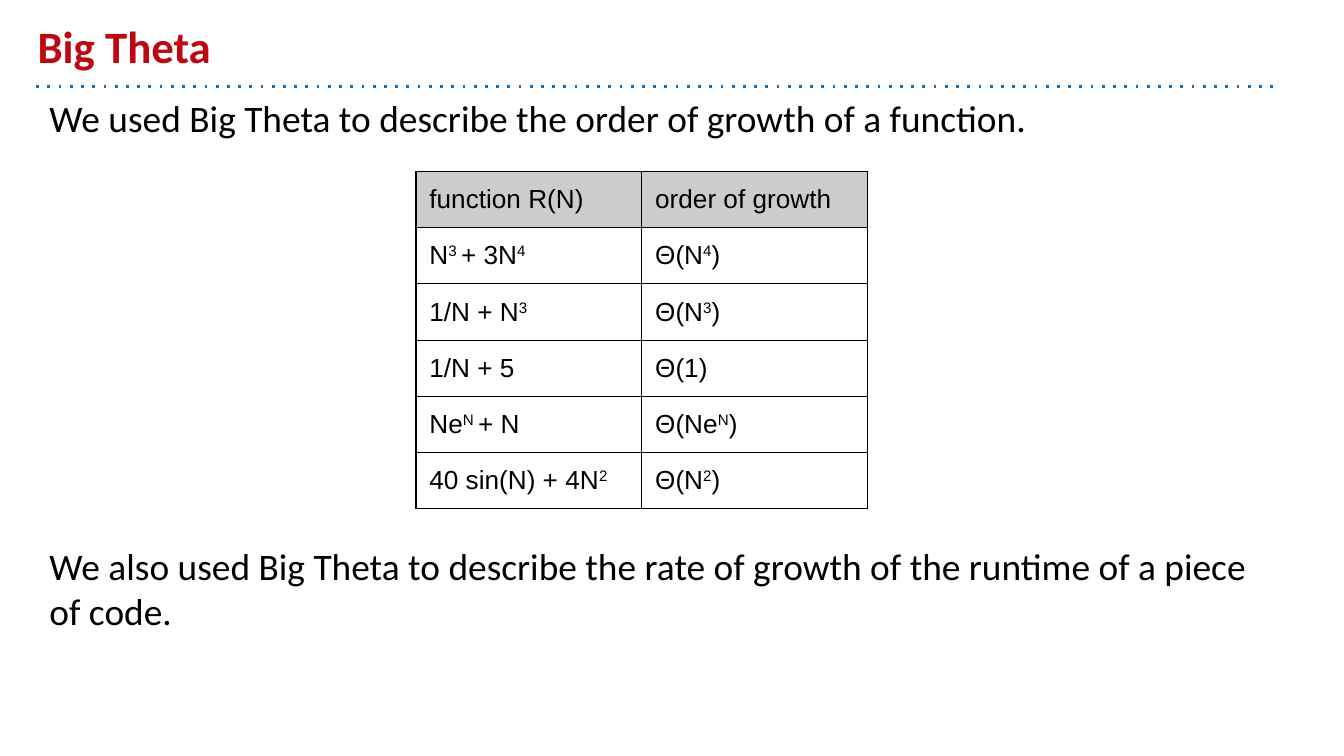
import pptx
import pptx.dml.color
import pptx.enum.shapes
import pptx.enum.text
import pptx.oxml
import pptx.oxml.ns
import pptx.util
from dataclasses import dataclass
from lxml import etree

PX = 4572  # EMU per px, 200 px to the inch


@dataclass
class Theme:
    title: str = "BE0712"
    text: str = "000000"
    rule: str = "1072BD"
    header: str = "CCCCCC"
    cell: str = "FFFFFF"
    head_font: str = "Calibri"
    table_font: str = "Arial"
    title_size: int = 24
    body_size: int = 20
    table_size: int = 14


theme = Theme()
rgb = pptx.dml.color.RGBColor.from_string
qn = pptx.oxml.ns.qn


def style(p, font, size, color, bold=False):
    p.font.name = font
    p.font.size = pptx.util.Pt(size)
    p.font.color.rgb = rgb(color)
    p.font.bold = bold


def set_insets(obj, bottom=20):
    obj.margin_left = obj.margin_right = obj.margin_top = 20 * PX
    obj.margin_bottom = bottom * PX


prs = pptx.Presentation()
prs.slide_width, prs.slide_height = 2000 * PX, 1125 * PX
s = prs.slides.add_slide(prs.slide_layouts[5])

# Dotted rule under the title
line = s.shapes.add_connector(
    pptx.enum.shapes.MSO_CONNECTOR.STRAIGHT,
    54 * PX, 129 * PX, 1899 * PX, 129 * PX)
line.line.color.rgb = rgb(theme.rule)
line.line.width = pptx.util.Pt(1.5)
etree.SubElement(line.line._get_or_add_ln(), qn("a:prstDash"), val="dot")
etree.SubElement(line._element.spPr, qn("a:effectLst"))

# Title
sp = s.shapes.title
sp.left, sp.top, sp.width, sp.height = 36 * PX, 20 * PX, 1800 * PX, 108 * PX
tf = sp.text_frame
set_insets(tf)
tf.auto_size = pptx.enum.text.MSO_AUTO_SIZE.NONE
tf.vertical_anchor = pptx.enum.text.MSO_ANCHOR.BOTTOM
p = tf.paragraphs[0]
p.text = "Big Theta"
p.alignment = pptx.enum.text.PP_ALIGN.LEFT
style(p, theme.head_font, theme.title_size, theme.title, bold=True)

# Body: the second paragraph is spaced down past the table
body = [
    ("We used Big Theta to describe the order of growth of a function.", 6),
    ("We also used Big Theta to describe the rate of growth of the runtime "
     "of a piece of code.", 216),
]
tf = s.shapes.add_textbox(54 * PX, 122 * PX, 1846 * PX, 908 * PX).text_frame
tf.word_wrap = True
set_insets(tf)
for i, (text, space) in enumerate(body):
    p = tf.add_paragraph() if i else tf.paragraphs[0]
    p.text = text
    p.space_before = pptx.util.Pt(space)
    style(p, theme.head_font, theme.body_size, theme.text)

# Table: text between bars is superscript
rows = [
    ("function R(N)", "order of growth"),
    ("N|3 |+ 3N|4", "Θ(N|4|)"),
    ("1/N + N|3", "Θ(N|3|)"),
    ("1/N + 5", "Θ(1)"),
    ("Ne|N |+ N", "Θ(Ne|N|)"),
    ("40 sin(N) + 4N|2", "Θ(N|2|)"),
]
table = s.shapes.add_table(
    len(rows), 2, 619 * PX, 255 * PX, 672 * PX, len(rows) * 80 * PX).table
table.horz_banding = False
for col in table.columns:
    col.width = 336 * PX
for i, row in enumerate(rows):
    for j, text in enumerate(row):
        cell = table.cell(i, j)
        set_insets(cell, bottom=17)
        p = cell.text_frame.paragraphs[0]
        for k, part in enumerate(text.split("|")):
            if part:
                r = p.add_run()
                r.text = part
                if k % 2:
                    r.font._element.set("baseline", "30000")
        style(p, theme.table_font, theme.table_size, theme.text)

        # Borders come before the fill in the cell properties
        tcPr = cell._tc.get_or_add_tcPr()
        for side in ("lnL", "lnR", "lnT", "lnB"):
            ln = etree.SubElement(
                tcPr, qn("a:" + side), w=str(pptx.util.Pt(0.75)))
            fill = etree.SubElement(ln, qn("a:solidFill"))
            etree.SubElement(fill, qn("a:srgbClr"), val=theme.text)
        cell.fill.solid()
        cell.fill.fore_color.rgb = rgb(theme.cell if i else theme.header)

prs.save("out.pptx")
